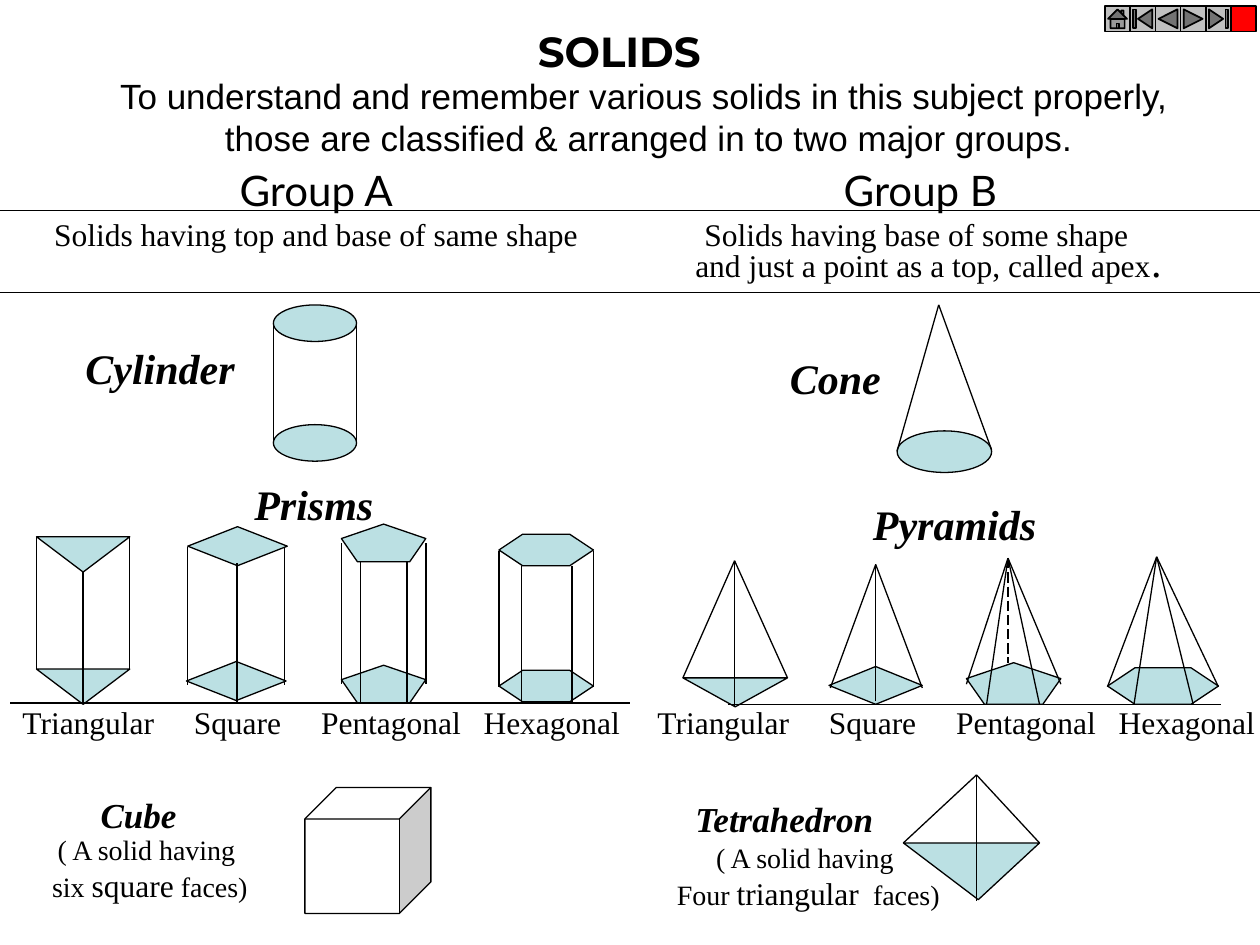
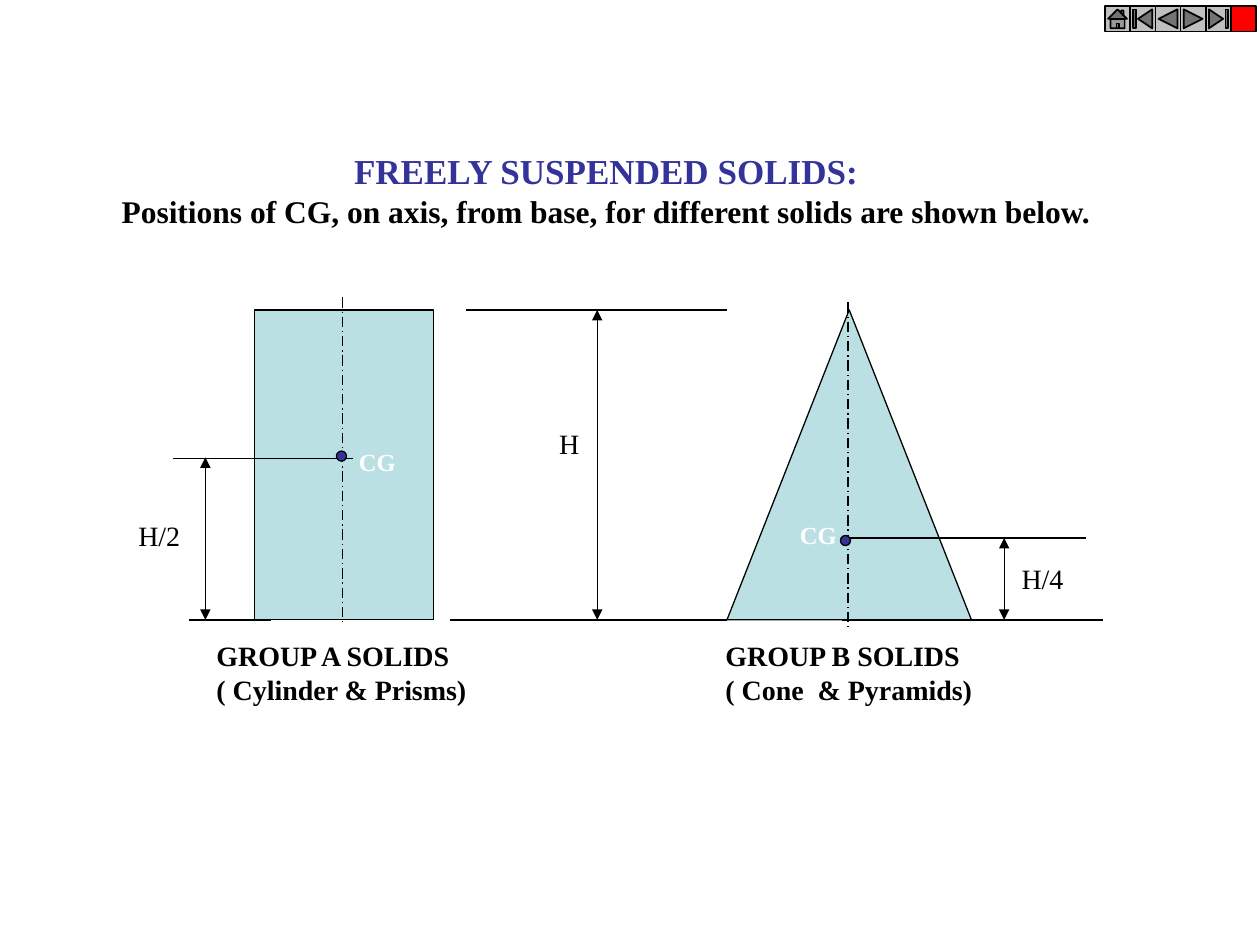
from dataclasses import dataclass
from typing import Any, NamedTuple

import lxml.etree
import pptx
import pptx.dml.color
import pptx.enum.dml
import pptx.enum.shapes
import pptx.enum.text
import pptx.oxml.ns
import pptx.util

RGB = pptx.dml.color.RGBColor
KIND = pptx.enum.shapes.MSO_SHAPE
DASH = pptx.enum.dml.MSO_LINE
ALIGN = pptx.enum.text.PP_ALIGN
qn = pptx.oxml.ns.qn

PX = 9144  # EMU in one px, 100 px to the inch

BLACK = RGB(0x00, 0x00, 0x00)
WHITE = RGB(0xFF, 0xFF, 0xFF)
AQUA = RGB(0xBB, 0xE0, 0xE3)
NAVY = RGB(0x33, 0x33, 0x99)
GREY = RGB(0xC0, 0xC0, 0xC0)
RED = RGB(0xFF, 0x00, 0x00)

SERIF = "Times New Roman"


@dataclass(frozen=True)
class Style:
    size: int
    face: str = SERIF
    color: RGB = BLACK
    bold: bool = False
    slant: bool = False


class Run(NamedTuple):
    text: str
    size: int


class Row(NamedTuple):
    style: Style
    text: str = ""
    runs: tuple[Run, ...] = ()
    tabs: tuple[int, ...] = ()


class Box(NamedTuple):
    left: int
    top: int
    width: int
    height: int


class Spot(NamedTuple):
    x: int
    y: int


class Prism(NamedTuple):
    kind: Any
    lid: Box
    foot: Spot
    drop: int
    edges: tuple[Spot, ...]
    turn: int = 0


class Spire(NamedTuple):
    kind: Any
    base: Box
    apex: Spot
    feet: tuple[Spot, ...]
    turn: int = 0
    tip: float | None = None
    axis: Spot | None = None


# Text styles
HEAD = Style(24, "Montserrat", bold=True)
INTRO = Style(20, "Arial")
GROUP = Style(24, "Lato")
BODY = Style(18)
NAME = Style(24, bold=True, slant=True)
MINOR = Style(20, bold=True, slant=True)
NOTE = Style(16)
TOPIC = Style(20, color=NAVY, bold=True)
LEAD = Style(18, bold=True)
LABEL = Style(16, bold=True)
MARK = Style(14, color=WHITE, bold=True)


# Drawing helpers
def px(count: int) -> int:
    return pptx.util.Emu(count * PX)


def shape(slide: Any, kind: Any, box: Box, fill: RGB = AQUA, width: float = 0.75,
          turn: int = 0, adj: float | None = None) -> None:
    item = slide.shapes.add_shape(kind, *map(px, box))
    item.shadow.inherit = False
    item.fill.solid()
    item.fill.fore_color.rgb = fill
    item.line.color.rgb = BLACK
    item.line.width = pptx.util.Pt(width)
    item.rotation = turn
    if kind == KIND.HEXAGON:
        adj = 0.75
    if adj is not None:
        item.adjustments[0] = adj


def line(slide: Any, start: Spot, end: Spot, dash: Any = None, heads: bool = False) -> None:
    link = slide.shapes.add_connector(
        pptx.enum.shapes.MSO_CONNECTOR.STRAIGHT, *map(px, (*start, *end)))
    link.line.color.rgb = BLACK
    link.line.width = pptx.util.Pt(0.75)
    if dash is not None:
        link.line.dash_style = dash
    props = link.element.spPr
    if heads:
        for tag in ("a:headEnd", "a:tailEnd"):
            lxml.etree.SubElement(props.find(qn("a:ln")), qn(tag), type="triangle")
    lxml.etree.SubElement(props, qn("a:effectLst"))


def text(slide: Any, box: Box, *rows: Row, mid: bool = False, wrap: bool = False) -> None:
    frame = slide.shapes.add_textbox(*map(px, box)).text_frame
    frame.word_wrap = wrap
    frame.auto_size = pptx.enum.text.MSO_AUTO_SIZE.SHAPE_TO_FIT_TEXT
    for i, row in enumerate(rows):
        para = frame.add_paragraph() if i else frame.paragraphs[0]
        para.alignment = ALIGN.CENTER if mid else ALIGN.LEFT
        if row.tabs:
            stops = lxml.etree.SubElement(para._p.get_or_add_pPr(), qn("a:tabLst"))
            for stop in row.tabs:
                lxml.etree.SubElement(stops, qn("a:tab"), pos=str(px(stop)), algn="l")
        style = row.style
        font = para.font
        font.name, font.size = style.face, pptx.util.Pt(style.size)
        font.bold, font.italic = style.bold, style.slant
        font.color.rgb = style.color
        for part in row.runs or (Run(row.text, style.size),):
            run = para.add_run()
            run.text = part.text
            if part.size != style.size:
                run.font.size = pptx.util.Pt(part.size)


def prism(slide: Any, body: Prism) -> None:
    shape(slide, body.kind, body.lid, turn=body.turn)
    shape(slide, body.kind, Box(*body.foot, *body.lid[2:]), turn=body.turn)
    for edge in body.edges:
        line(slide, edge, Spot(edge.x, edge.y + body.drop))


def spire(slide: Any, body: Spire) -> None:
    shape(slide, body.kind, body.base, turn=body.turn, adj=body.tip)
    for foot in body.feet:
        line(slide, body.apex, foot)
    if body.axis:
        line(slide, body.apex, body.axis, DASH.LONG_DASH)


def buttons(slide: Any) -> None:
    kinds = (KIND.ACTION_BUTTON_HOME, KIND.ACTION_BUTTON_BEGINNING,
             KIND.ACTION_BUTTON_BACK_OR_PREVIOUS, KIND.ACTION_BUTTON_FORWARD_OR_NEXT,
             KIND.ACTION_BUTTON_END, KIND.ACTION_BUTTON_CUSTOM)
    for i, kind in enumerate(kinds):
        fill = RED if kind == KIND.ACTION_BUTTON_CUSTOM else GREY
        shape(slide, kind, Box(877 + 20 * i, 5, 20, 20), fill, 1)


# Solids with equal top and base
PRISMS = (
    Prism(KIND.OVAL, Box(217, 242, 66, 29), Spot(217, 337), 96,
          (Spot(217, 256), Spot(283, 256))),
    Prism(KIND.ISOSCELES_TRIANGLE, Box(29, 426, 74, 28), Spot(29, 531), 105,
          (Spot(29, 426), Spot(103, 426), Spot(66, 453)), 180),
    Prism(KIND.DIAMOND, Box(149, 418, 79, 31), Spot(148, 525), 110,
          (Spot(149, 434), Spot(226, 434), Spot(188, 447))),
    Prism(KIND.REGULAR_PENTAGON, Box(271, 416, 67, 30), Spot(271, 528), 112,
          (Spot(271, 431), Spot(338, 431), Spot(323, 446), Spot(286, 446))),
    Prism(KIND.HEXAGON, Box(396, 424, 75, 25), Spot(396, 532), 108,
          (Spot(396, 437), Spot(414, 449), Spot(471, 437), Spot(454, 449))),
)

# Solids with an apex
SPIRES = (
    Spire(KIND.OVAL, Box(712, 342, 75, 33), Spot(745, 242),
          (Spot(712, 358), Spot(787, 357))),
    Spire(KIND.ISOSCELES_TRIANGLE, Box(542, 538, 83, 23), Spot(583, 445),
          (Spot(542, 538), Spot(625, 538), Spot(583, 561)), 180),
    Spire(KIND.DIAMOND, Box(658, 529, 74, 30), Spot(695, 448),
          (Spot(659, 546), Spot(732, 546), Spot(695, 556))),
    Spire(KIND.REGULAR_PENTAGON, Box(767, 526, 75, 33), Spot(800, 443),
          (Spot(767, 543), Spot(842, 543), Spot(825, 559), Spot(783, 559)),
          axis=Spot(800, 526)),
    Spire(KIND.HEXAGON, Box(879, 530, 88, 29), Spot(918, 442),
          (Spot(879, 545), Spot(900, 559), Spot(967, 545), Spot(947, 559))),
    Spire(KIND.ISOSCELES_TRIANGLE, Box(717, 669, 108, 45), Spot(775, 615),
          (Spot(717, 669), Spot(825, 669), Spot(775, 715)), 180, 0.45),
)

NAMES = (
    (Box(58, 267, 139, 50), NAME, "Cylinder"),
    (Box(192, 375, 115, 50), NAME, "Prisms"),
    (Box(70, 625, 80, 43), MINOR, "Cube"),
    (Box(617, 275, 92, 50), NAME, "Cone"),
    (Box(683, 391, 150, 50), NAME, "Pyramids"),
    (Box(542, 628, 164, 43), MINOR, "Tetrahedron"),
)


def solids(slide: Any) -> None:
    # Title and groups
    text(slide, Box(417, 15, 157, 50), Row(HEAD, "SOLIDS"))
    text(slide, Box(84, 54, 862, 77),
         Row(INTRO, "To understand and remember various solids in this subject properly, "),
         Row(INTRO, "those are classified & arranged in to two major groups."), mid=True)
    text(slide, Box(33, 126, 436, 80), Row(GROUP, "Group A"),
         Row(BODY, "Solids having top and base of same shape"), mid=True)
    text(slide, Box(549, 126, 363, 80), Row(GROUP, "Group B"),
         Row(BODY, "Solids having base of some shape "), mid=True)
    text(slide, Box(542, 182, 390, 50),
         Row(BODY, runs=(Run("and just a point as a top, called apex", 18), Run(".", 24))),
         wrap=True)
    for y in (167, 232):
        line(slide, Spot(0, y), Spot(1000, y))

    # Drawings
    for body in PRISMS:
        prism(slide, body)
    for body in SPIRES:
        spire(slide, body)
    shape(slide, KIND.CUBE, Box(242, 625, 100, 100), WHITE)
    line(slide, Spot(8, 558), Spot(500, 558))
    line(slide, Spot(578, 559), Spot(969, 559))

    # Names and notes
    for box, style, name in NAMES:
        text(slide, box, Row(style, name))
    for left in (8, 512):
        text(slide, Box(left, 553, 496, 40),
             Row(BODY, "Triangular\tSquare\tPentagonal\tHexagonal", tabs=(136, 237, 366)))
    for box, count, face, end in (
            (Box(31, 656, 176, 67), "six ", "square", " faces)"),
            (Box(527, 662, 229, 67), "Four ", "triangular", "  faces)")):
        text(slide, box, Row(NOTE, "( A solid having "),
             Row(NOTE, runs=(Run(count, 16), Run(face, 18), Run(end, 16))), mid=True)


def gravity(slide: Any) -> None:
    text(slide, Box(85, 114, 792, 73), Row(TOPIC, "FREELY SUSPENDED SOLIDS:"),
         Row(LEAD, "Positions of CG, on axis, from base, for different solids are shown below."),
         mid=True)

    # Side views
    top, base = 246, 492
    shape(slide, KIND.RECTANGLE, Box(202, top, 142, base - top))
    shape(slide, KIND.ISOSCELES_TRIANGLE, Box(577, top, 194, base - top))

    # Level lines, axes and measures
    for left, right, y in ((370, 577, top), (357, 577, base), (150, 215, base),
                           (668, 875, base), (137, 280, 364), (668, 862, 427)):
        line(slide, Spot(left, y), Spot(right, y))
    for x, y in ((272, 236), (673, 240)):
        line(slide, Spot(x, y), Spot(x, y + 259), DASH.LONG_DASH_DOT)
    for x, y in ((474, top), (163, 363), (797, 427)):
        line(slide, Spot(x, y), Spot(x, base), heads=True)

    # Labels
    for box, size in ((Box(434, 334, 36, 37), "H"), (Box(100, 407, 53, 37), "H/2"),
                      (Box(801, 441, 53, 37), "H/4")):
        text(slide, box, Row(NOTE, size))
    for box, group, kinds in (
            (Box(162, 502, 220, 63), "GROUP A SOLIDS", "( Cylinder & Prisms)"),
            (Box(566, 502, 217, 63), "GROUP B SOLIDS", "( Cone  & Pyramids)")):
        text(slide, box, Row(LABEL, group), Row(LABEL, kinds))
    for mark, dot in ((Spot(275, 350), Spot(267, 358)), (Spot(625, 408), Spot(667, 425))):
        text(slide, Box(*mark, 49, 33), Row(MARK, "CG"))
        shape(slide, KIND.OVAL, Box(*dot, 8, 8), NAVY)


def main() -> None:
    deck = pptx.Presentation()
    deck.slide_width, deck.slide_height = px(1000), px(750)
    for draw in (solids, gravity):
        slide = deck.slides.add_slide(deck.slide_layouts[6])
        draw(slide)
        buttons(slide)
    deck.save("out.pptx")


if __name__ == "__main__":
    main()
